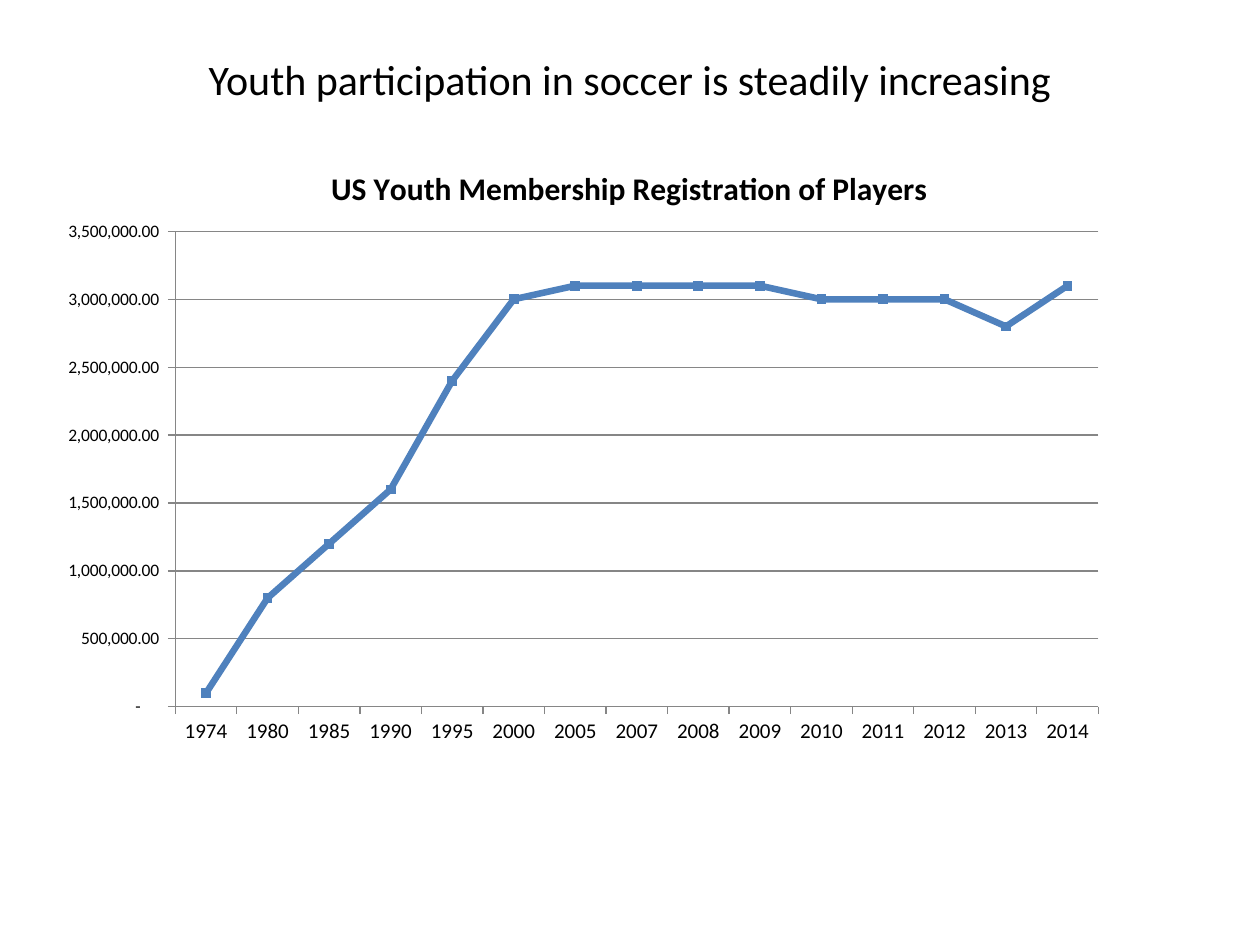
from lxml import etree
from pptx import Presentation
from pptx.chart.data import CategoryChartData
from pptx.dml.color import RGBColor
from pptx.enum.chart import XL_CHART_TYPE, XL_MARKER_STYLE, XL_TICK_MARK
from pptx.enum.text import MSO_ANCHOR, PP_ALIGN
from pptx.oxml.ns import qn
from pptx.util import Inches, Pt

LINE_MARKERS = XL_CHART_TYPE.LINE_MARKERS
SQUARE = XL_MARKER_STYLE.SQUARE
OUTSIDE = XL_TICK_MARK.OUTSIDE
MIDDLE, CENTER = MSO_ANCHOR.MIDDLE, PP_ALIGN.CENTER

# Content
HEADLINE = "Youth participation in soccer is steadily increasing"
CHART_TITLE = "US Youth Membership Registration of Players"
PLAYERS = {
    "1974": 100000, "1980": 800000, "1985": 1200000, "1990": 1600000,
    "1995": 2400000, "2000": 3000000, "2005": 3100000, "2007": 3100000,
    "2008": 3100000, "2009": 3100000, "2010": 3000000, "2011": 3000000,
    "2012": 3000000, "2013": 2800000, "2014": 3100000,
}
NUMBER_FORMAT = '_(* #,##0.00_);_(* \\(#,##0.00\\);_(* "-"??_);_(@_)'

# Theme and layout
THEME = {
    "font": "Calibri",
    "text": RGBColor(0, 0, 0),
    "line": RGBColor(0x4F, 0x81, 0xBD),
    "grid": RGBColor(0x86, 0x86, 0x86),
    "headline": 24, "chart_title": 18, "years": 12, "values": 10,
}
HEADLINE_BOX = (0.75, 0.25, 8.5, 0.75)
CHART_BOX = (0.41, 1.12, 9.17, 5.27)
PLOT_SHARES = {"x": 0.107, "y": 0.136, "w": 0.799, "h": 0.716}


def set_font(font, size, bold=False):
    font.name = THEME["font"]
    font.size = Pt(THEME[size])
    font.bold = bold
    font.color.rgb = THEME["text"]


def place_plot(chart, shares):
    """Pin the inner plot area to shares of the chart's size."""
    plot_area = chart._chartSpace.chart.plotArea
    layout = plot_area.find(qn("c:layout"))
    if layout is None:
        layout = etree.Element(qn("c:layout"))
        plot_area.insert(0, layout)
    manual = etree.SubElement(layout, qn("c:manualLayout"))
    settings = [("layoutTarget", "inner"), ("xMode", "edge"), ("yMode", "edge")]
    for tag, value in settings + list(shares.items()):
        etree.SubElement(manual, qn("c:" + tag)).set("val", str(value))


deck = Presentation()
deck.slide_width, deck.slide_height = Inches(10), Inches(7.5)
page = deck.slides.add_slide(deck.slide_layouts[0])
subtitle = page.placeholders[1].element
subtitle.getparent().remove(subtitle)

# Headline
headline = page.shapes.title
headline.left, headline.top, headline.width, headline.height = map(Inches, HEADLINE_BOX)
headline.text_frame.text = HEADLINE
headline.text_frame.vertical_anchor = MIDDLE
para = headline.text_frame.paragraphs[0]
para.alignment = CENTER
set_font(para.font, "headline")

# Chart
data = CategoryChartData(number_format=NUMBER_FORMAT)
data.categories = list(PLAYERS)
data.add_series("Series 1", list(PLAYERS.values()))
chart = page.shapes.add_chart(LINE_MARKERS, *map(Inches, CHART_BOX), data).chart
set_font(chart.font, "values")
chart.has_legend = False
chart.has_title = True
chart.chart_title.text_frame.text = CHART_TITLE
set_font(chart.chart_title.text_frame.paragraphs[0].font, "chart_title", bold=True)
chart.chart_title.include_in_layout = False
place_plot(chart, PLOT_SHARES)

# Axes
years, values = chart.category_axis, chart.value_axis
for axis, size in ((years, "years"), (values, "values")):
    axis.major_tick_mark = OUTSIDE
    axis.format.line.color.rgb = THEME["grid"]
    axis.format.line.width = Pt(0.75)
    set_font(axis.tick_labels.font, size)
values.minimum_scale, values.maximum_scale, values.major_unit = 0, 3500000, 500000
values.tick_labels.number_format = NUMBER_FORMAT
values.tick_labels.number_format_is_linked = False
values.has_major_gridlines = True
values.major_gridlines.format.line.color.rgb = THEME["grid"]
values.major_gridlines.format.line.width = Pt(0.75)

# Line and markers
chart.plots[0].vary_by_categories = False
players = chart.plots[0].series[0]
players.smooth = False
players.format.line.color.rgb = THEME["line"]
players.format.line.width = Pt(3.75)
players.marker.style = SQUARE
players.marker.size = 5
players.marker.format.fill.solid()
players.marker.format.fill.fore_color.rgb = THEME["line"]
players.marker.format.line.color.rgb = THEME["line"]

deck.save("out.pptx")
